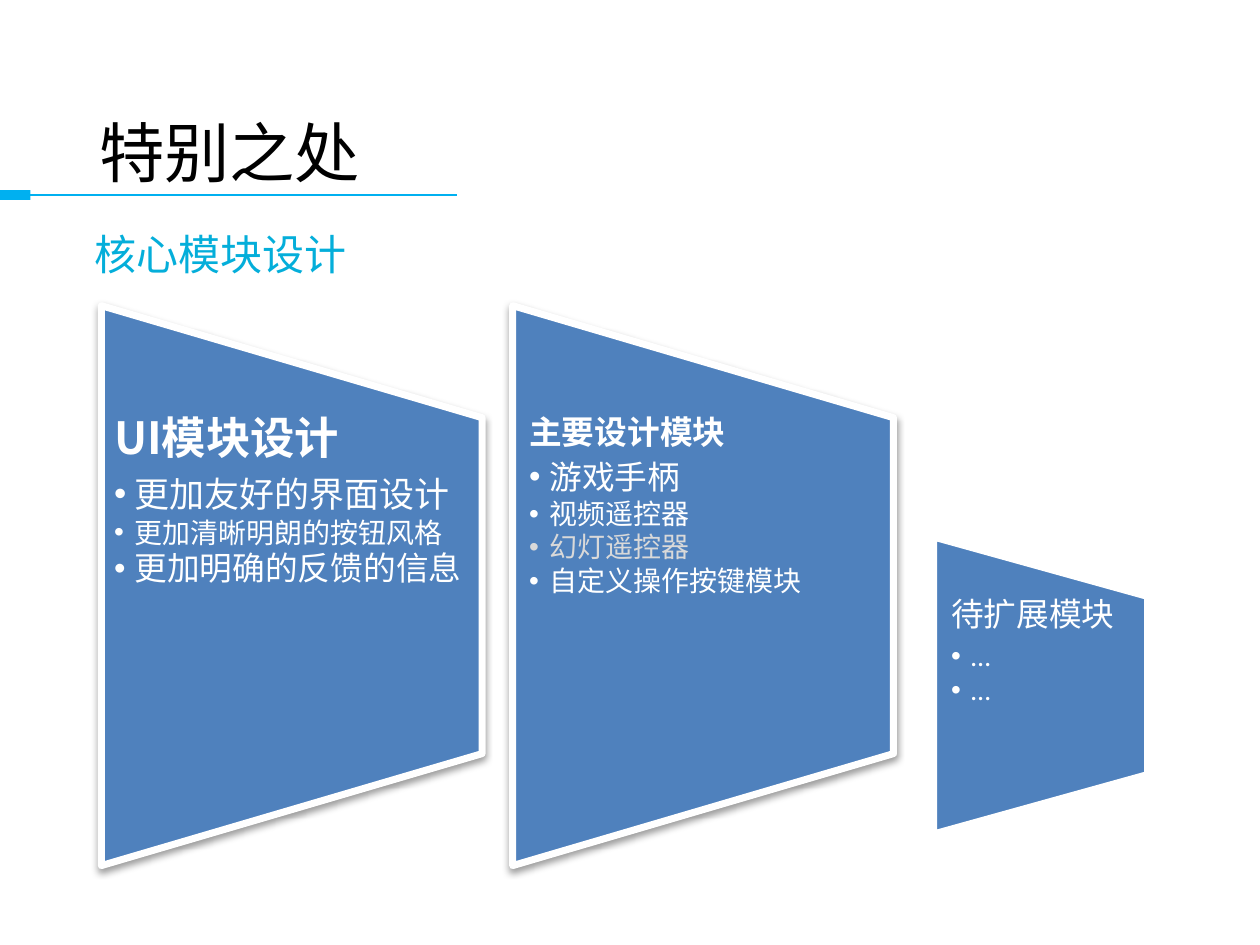
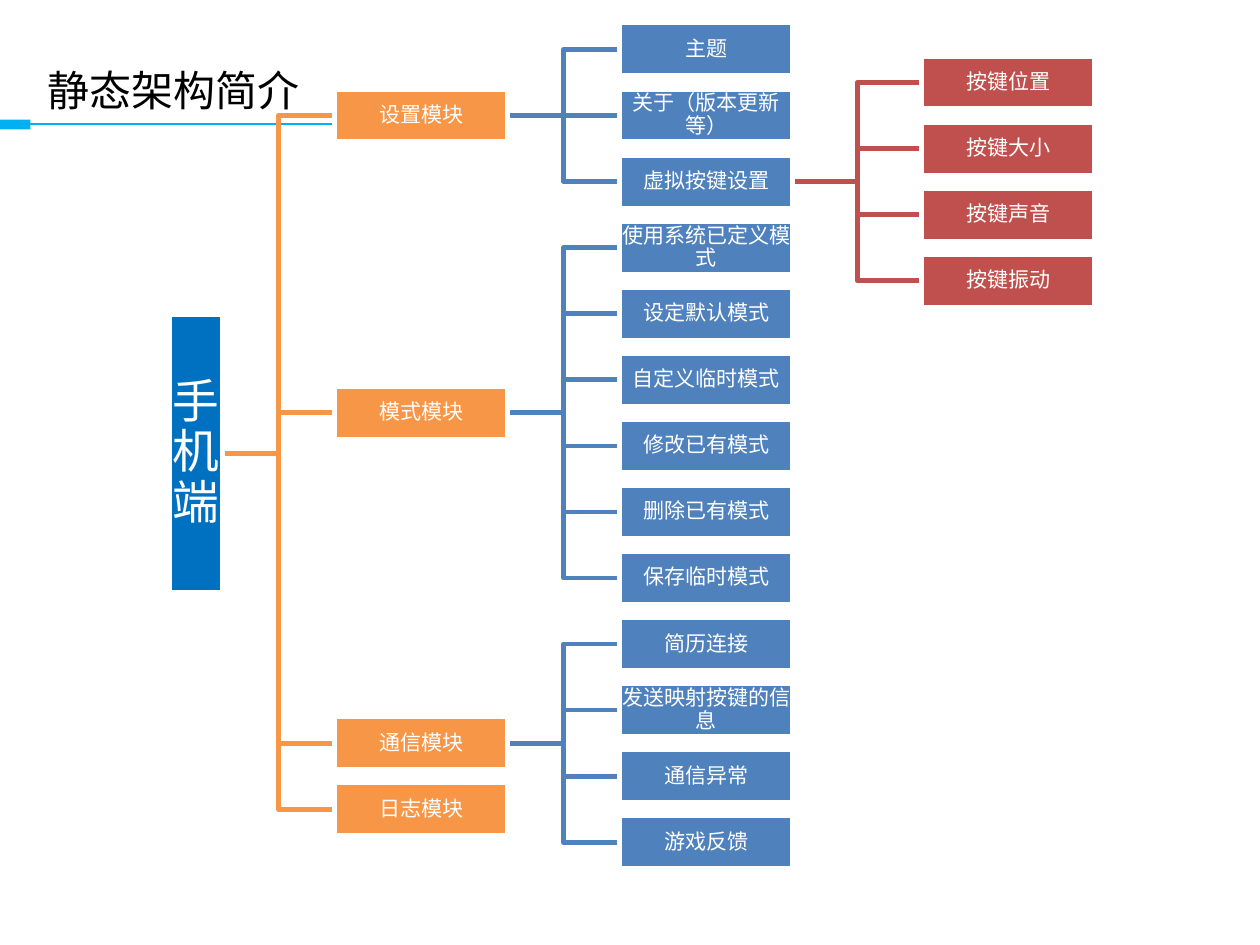
from lxml import etree
from pptx import Presentation
from pptx.dml.color import RGBColor
from pptx.enum.shapes import MSO_CONNECTOR, MSO_SHAPE
from pptx.enum.text import MSO_ANCHOR, MSO_AUTO_SIZE, PP_ALIGN
from pptx.oxml.ns import qn
from pptx.util import Pt

STRAIGHT, ELBOW = MSO_CONNECTOR.STRAIGHT, MSO_CONNECTOR.ELBOW
RECTANGLE, TRAPEZOID = MSO_SHAPE.RECTANGLE, MSO_SHAPE.FLOWCHART_MANUAL_OPERATION
TOP, MIDDLE = MSO_ANCHOR.TOP, MSO_ANCHOR.MIDDLE
LEFT, CENTER = PP_ALIGN.LEFT, PP_ALIGN.CENTER
NO_FIT = MSO_AUTO_SIZE.NONE
LEFT_SITE, RIGHT_SITE = 1, 3

CJK, LATIN = "Noto Sans CJK SC", "Calibri"
WHITE, BLACK, GREY = "FFFFFF", "000000", "D9D9D9"
SKY, TEAL, NAVY = "00B0F0", "04AEDA", "0070C0"
BLUE, ORANGE, RED = "4F81BD", "F79646", "C0504D"

COMPARISON, TITLE_ONLY = 4, 5
BULLET_INDENT = 8.64
HEADING_GAP, ITEM_GAP = 0.28, 0.12

PANELS = [
    (125, 251, 240, 163.2, 3, True, (43.2, 178.5, 163.5, 144), 5.76, [
        ("UI模块设计", 19, CJK, WHITE, True),
        ("更加友好的界面设计", 15, CJK, WHITE, False),
        ("更加清晰明朗的按钮风格", 12, CJK, WHITE, False),
        ("更加明确的反馈的信息", 14, CJK, WHITE, False)]),
    (301.3, 251, 240, 163.2, 3, True, (219.6, 178.5, 163.5, 144), 7.2, [
        ("主要设计模块", 14, CJK, WHITE, True),
        ("游戏手柄", 14, LATIN, WHITE, False),
        ("视频遥控器", 12, CJK, WHITE, False),
        ("幻灯遥控器", 12, CJK, GREY, False),
        ("自定义操作按键模块", 12, CJK, WHITE, False)]),
    (446, 293.8, 126, 90.7, 2, False, (400.4, 256.3, 90.7, 75.6), 7.2, [
        ("待扩展模块", 14, LATIN, WHITE, False),
        ("…", 12, LATIN, WHITE, False),
        ("…", 12, LATIN, WHITE, False)]),
]

MODULES = [
    ("设置模块", 1, 0, ["主题", "关于（版本更新等）", "虚拟按键设置"]),
    ("模式模块", 5.5, 3, ["使用系统已定义模式", "设定默认模式", "自定义临时模式",
                      "修改已有模式", "删除已有模式", "保存临时模式"]),
    ("通信模块", 10.5, 9, ["简历连接", "发送映射按键的信息", "通信异常", "游戏反馈"]),
    ("日志模块", 11.5, 12, []),
]
KEY_SETTINGS = ["按键位置", "按键大小", "按键声音", "按键振动"]
KEY_PARENT = "虚拟按键设置"
MODULE_LEFT, FEATURE_LEFT, KEY_LEFT = 143.4, 265.6, 395
NODE_WIDTH, NODE_HEIGHT = 74.2, 22.6
FIRST_ROW, ROW_PITCH = 21.2, 28.32


def color(hex_code):
    """Turn a hex string into a colour."""
    return RGBColor.from_string(hex_code)


def to_front(shape):
    """Move a shape to the top of its slide."""
    shape.element.getparent().append(shape.element)


class Deck:
    """Holds the shared style and the current slide."""

    def __init__(self):
        """Start an empty presentation."""
        self.presentation = Presentation()
        self.presentation.slide_width = Pt(540)
        self.presentation.slide_height = Pt(405)
        self.slide = None

    def new_slide(self, layout, heading, size, left, top, rule_y):
        """Add a slide with its accent rule and title."""
        layouts = self.presentation.slide_layouts
        self.slide = self.presentation.slides.add_slide(layouts[layout])
        self.connector(STRAIGHT, (195.8, rule_y), (13, rule_y), SKY, 0.75)
        self.block(RECTANGLE, (0, rule_y - 2, 13, 4.2), SKY)
        title = self.slide.shapes.title
        frame = self.place(title, (left, top, 151.2, 26.6), 7.2, 3.6)
        self.paragraph(frame.paragraphs[0], heading, size, CJK, BLACK, spacing=Pt(19.2))

    def place(self, holder, box, side, edge, anchor=TOP):
        """Position a text holder, bring it forward and return its frame."""
        holder.left, holder.top, holder.width, holder.height = map(Pt, box)
        to_front(holder)
        return self.frame(holder, side, edge, anchor)

    def frame(self, shape, side, edge, anchor):
        """Set margins, wrapping and anchor of a text frame."""
        frame = shape.text_frame
        frame.word_wrap = True
        frame.auto_size = NO_FIT
        frame.vertical_anchor = anchor
        frame.margin_left = frame.margin_right = Pt(side)
        frame.margin_top = frame.margin_bottom = Pt(edge)
        return frame

    def paragraph(self, paragraph, words, size, face, ink, bold=False,
                  align=LEFT, spacing=1.0, gap=0, bullet=False):
        """Write one formatted run with paragraph spacing and bullet."""
        paragraph.alignment = align
        paragraph.line_spacing = spacing
        paragraph.space_before = Pt(0)
        paragraph.space_after = Pt(gap * size)
        properties = paragraph._p.get_or_add_pPr()
        indent = Pt(BULLET_INDENT) if bullet else 0
        properties.set("marL", str(indent))
        properties.set("indent", str(-indent))
        if bullet:
            etree.SubElement(properties, qn("a:buChar")).set("char", "•")
        else:
            etree.SubElement(properties, qn("a:buNone"))
        run = paragraph.add_run()
        run.text = words
        run.font.size = Pt(size)
        run.font.bold = bold
        run.font.name = face
        run.font.color.rgb = color(ink)
        east_asian = etree.SubElement(run.font._element, qn("a:ea"))
        east_asian.set("typeface", LATIN)

    def block(self, kind, box, fill, border=0):
        """Add a filled shape with an optional white border."""
        shape = self.slide.shapes.add_shape(kind, *map(Pt, box))
        shape.shadow.inherit = False
        shape.fill.solid()
        shape.fill.fore_color.rgb = color(fill)
        if border:
            shape.line.color.rgb = color(WHITE)
            shape.line.width = Pt(border)
        else:
            shape.line.fill.background()
        return shape

    def connector(self, kind, start, end, ink, width):
        """Add a line without shadow."""
        line = self.slide.shapes.add_connector(kind, *map(Pt, start + end))
        line.line.color.rgb = color(ink)
        line.line.width = Pt(width)
        etree.SubElement(line.element.spPr, qn("a:effectLst"))
        return line

    def drop_shadow(self, shape):
        """Give a shape a soft shadow below it."""
        effects = shape.element.spPr.find(qn("a:effectLst"))
        shadow = etree.SubElement(effects, qn("a:outerShdw"), blurRad=str(Pt(3.1)),
                                  dist=str(Pt(1.6)), dir="5400000", rotWithShape="0")
        ink = etree.SubElement(shadow, qn("a:srgbClr"), val=BLACK)
        etree.SubElement(ink, qn("a:alpha"), val="38000")

    def panel(self, holder, center_x, center_y, width, height, border, shaded, box, side, lines):
        """Add a sideways trapezoid with a heading and a bullet list."""
        corner = (center_x - width / 2, center_y - height / 2)
        trapezoid = self.block(TRAPEZOID, corner + (width, height), BLUE, border)
        trapezoid.rotation = 270
        if shaded:
            self.drop_shadow(trapezoid)
        frame = self.place(holder, box, side, 0)
        for index, line in enumerate(lines):
            entry = frame.add_paragraph() if index else frame.paragraphs[0]
            self.paragraph(entry, *line, spacing=0.9, bullet=index > 0,
                           gap=ITEM_GAP if index else HEADING_GAP)

    def node(self, words, box, fill, size=9):
        """Add a labelled box of the tree."""
        shape = self.block(RECTANGLE, box, fill, 2)
        frame = self.frame(shape, 0.72, 0.72, MIDDLE)
        self.paragraph(frame.paragraphs[0], words, size, LATIN, WHITE,
                       align=CENTER, spacing=0.9)
        return shape

    def row_node(self, words, left, row, fill):
        """Add a tree box centred on a row."""
        top = FIRST_ROW + row * ROW_PITCH - NODE_HEIGHT / 2
        return self.node(words, (left, top, NODE_WIDTH, NODE_HEIGHT), fill)

    def branch(self, parent, child, ink):
        """Connect a parent box to a child box."""
        level = parent.top + parent.height // 2 == child.top + child.height // 2
        line = self.connector(STRAIGHT if level else ELBOW, (0, 0), (0, 0), ink, 2)
        line.begin_connect(parent, RIGHT_SITE)
        line.end_connect(child, LEFT_SITE)


def special_features(deck):
    """Build the slide of core modules."""
    deck.new_slide(COMPARISON, "特别之处", 28, 35.3, 59, 83.5)
    subtitle, *lists = list(deck.slide.placeholders)[1:]
    frame = deck.place(subtitle, (33.1, 94.3, 339, 28.8), 7.2, 3.6)
    deck.paragraph(frame.paragraphs[0], "核心模块设计", 18, CJK, TEAL)
    for holder, panel in zip(lists, PANELS):
        deck.panel(holder, *panel)


def static_architecture(deck):
    """Build the slide of the module tree."""
    deck.new_slide(TITLE_ONLY, "静态架构简介", 18, 13, 26.6, 53.3)
    phone = deck.node("手机端", (72.8, 134.9, 22.6, 119.2), NAVY, 20)
    nodes, branches = [phone], []

    def grow(parent, words, left, row, fill):
        """Add a child box and note its branch."""
        child = deck.row_node(words, left, row, fill)
        nodes.append(child)
        branches.append((parent, child, fill))
        return child

    for module_name, module_row, first_row, features in MODULES:
        module = grow(phone, module_name, MODULE_LEFT, module_row, ORANGE)
        for row, feature_name in enumerate(features, first_row):
            feature = grow(module, feature_name, FEATURE_LEFT, row, BLUE)
            if feature_name == KEY_PARENT:
                for offset, setting in enumerate(KEY_SETTINGS):
                    grow(feature, setting, KEY_LEFT, row - 1.5 + offset, RED)
    for link in branches:
        deck.branch(*link)
    for box in nodes:
        to_front(box)


def main():
    """Build and save the presentation."""
    deck = Deck()
    special_features(deck)
    static_architecture(deck)
    deck.presentation.save("out.pptx")


if __name__ == "__main__":
    main()
